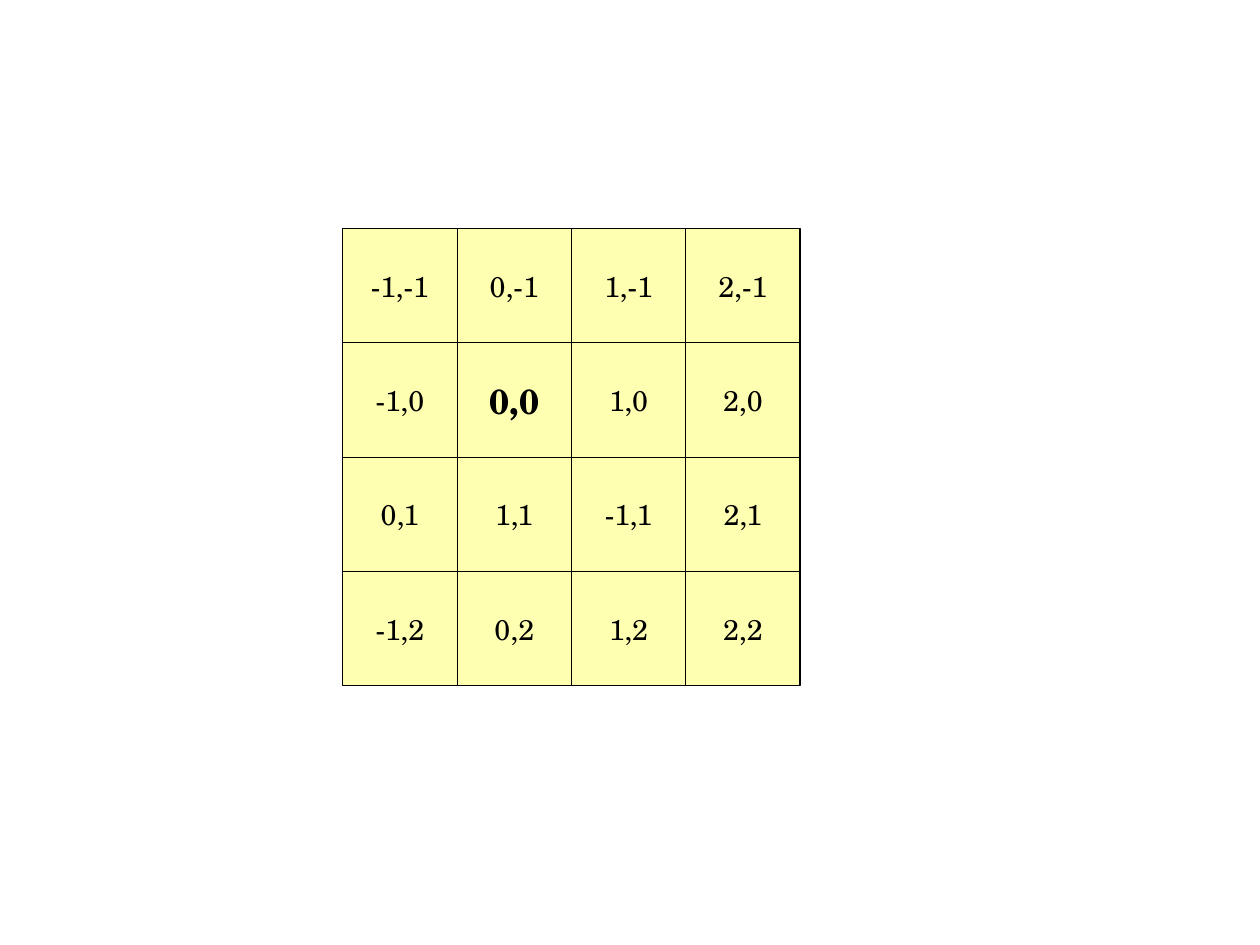
from dataclasses import dataclass

from lxml.etree import SubElement
from pptx import Presentation
from pptx.dml.color import RGBColor
from pptx.enum.shapes import MSO_SHAPE as Form
from pptx.enum.text import MSO_ANCHOR as Anchor, PP_ALIGN as Align
from pptx.oxml.ns import qn
from pptx.slide import Slide
from pptx.util import Cm, Inches, Pt

WIDTH, HEIGHT = Cm(28), Cm(21)
UNIT = Inches(1)
LEFT, TOP = 3, 2
FONT = "TeX Gyre Schola"
YELLOW, BLACK = "FFFF66", "000000"
ORIGIN = "0,0"
LABELS = (
    ("-1,-1", "0,-1", "1,-1", "2,-1"),
    ("-1,0", ORIGIN, "1,0", "2,0"),
    ("0,1", "1,1", "-1,1", "2,1"),
    ("-1,2", "0,2", "1,2", "2,2"),
)


@dataclass(frozen=True)
class Tile:
    """A labelled square at a column and row of the grid."""

    col: int
    row: int
    label: str


def color(code: str) -> RGBColor:
    """Turn a hex string into a colour."""
    return RGBColor.from_string(code)


def paint(box, code: str, alpha: int) -> None:
    """Fill a shape with a colour at an opacity in percent."""
    box.fill.solid()
    box.fill.fore_color.rgb = color(code)
    tint = box.fill._xPr.find(f".//{qn('a:srgbClr')}")
    SubElement(tint, qn("a:alpha")).set("val", str(alpha * 1000))


def draw(slide: Slide, tile: Tile) -> None:
    """Draw one tile with its centred label."""
    box = slide.shapes.add_shape(
        Form.RECTANGLE, (LEFT + tile.col) * UNIT, (TOP + tile.row) * UNIT, UNIT, UNIT
    )
    box.shadow.inherit = False
    paint(box, YELLOW, 50)
    box.line.color.rgb = color(BLACK)
    box.line.width = Pt(0)
    frame = box.text_frame
    frame.word_wrap = True
    frame.vertical_anchor = Anchor.MIDDLE
    line = frame.paragraphs[0]
    line.alignment = Align.CENTER
    run = line.add_run()
    run.text = tile.label
    main = tile.label == ORIGIN
    run.font.name = FONT
    run.font.size = Pt(22 if main else 18)
    run.font.bold = main
    run.font.color.rgb = color(BLACK)


def main() -> None:
    """Build and save the slide."""
    deck = Presentation()
    deck.slide_width, deck.slide_height = WIDTH, HEIGHT
    slide = deck.slides.add_slide(deck.slide_layouts[6])
    for row, labels in enumerate(LABELS):
        for col, label in enumerate(labels):
            draw(slide, Tile(col, row, label))
    deck.save("out.pptx")


if __name__ == "__main__":
    main()
